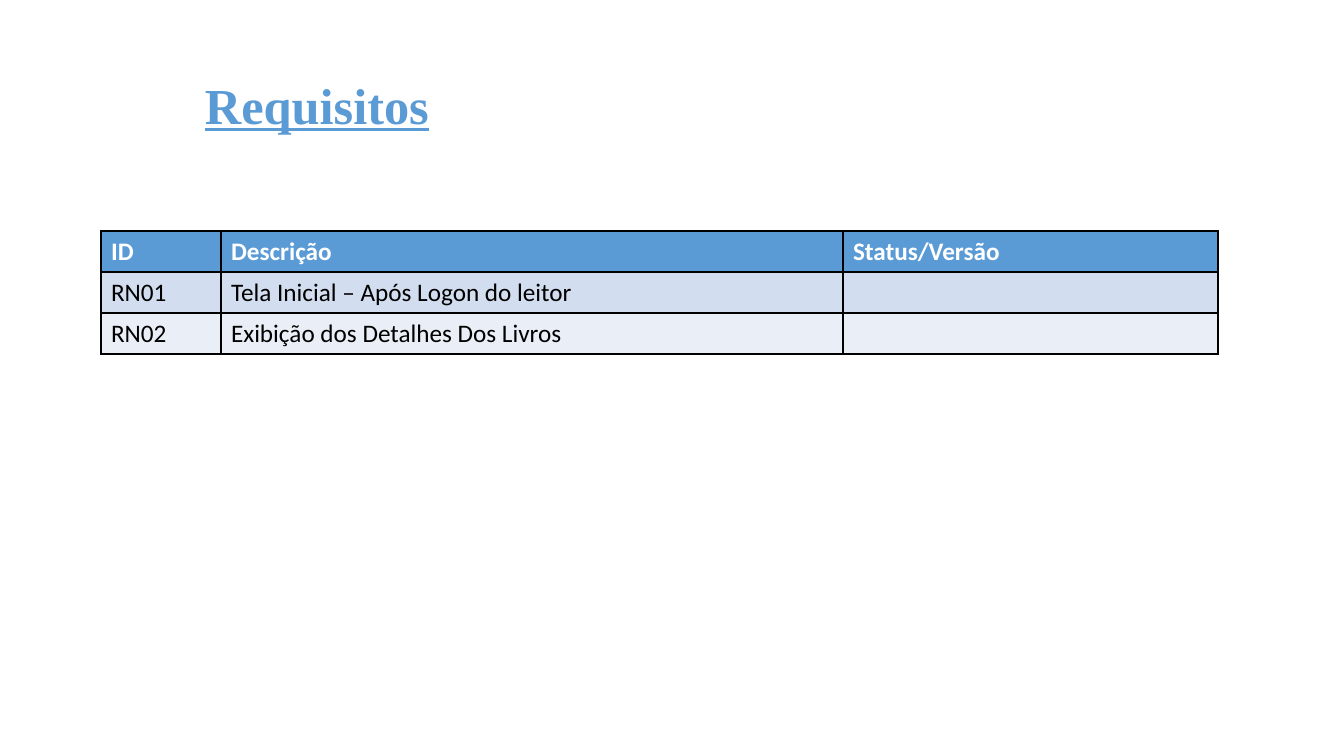
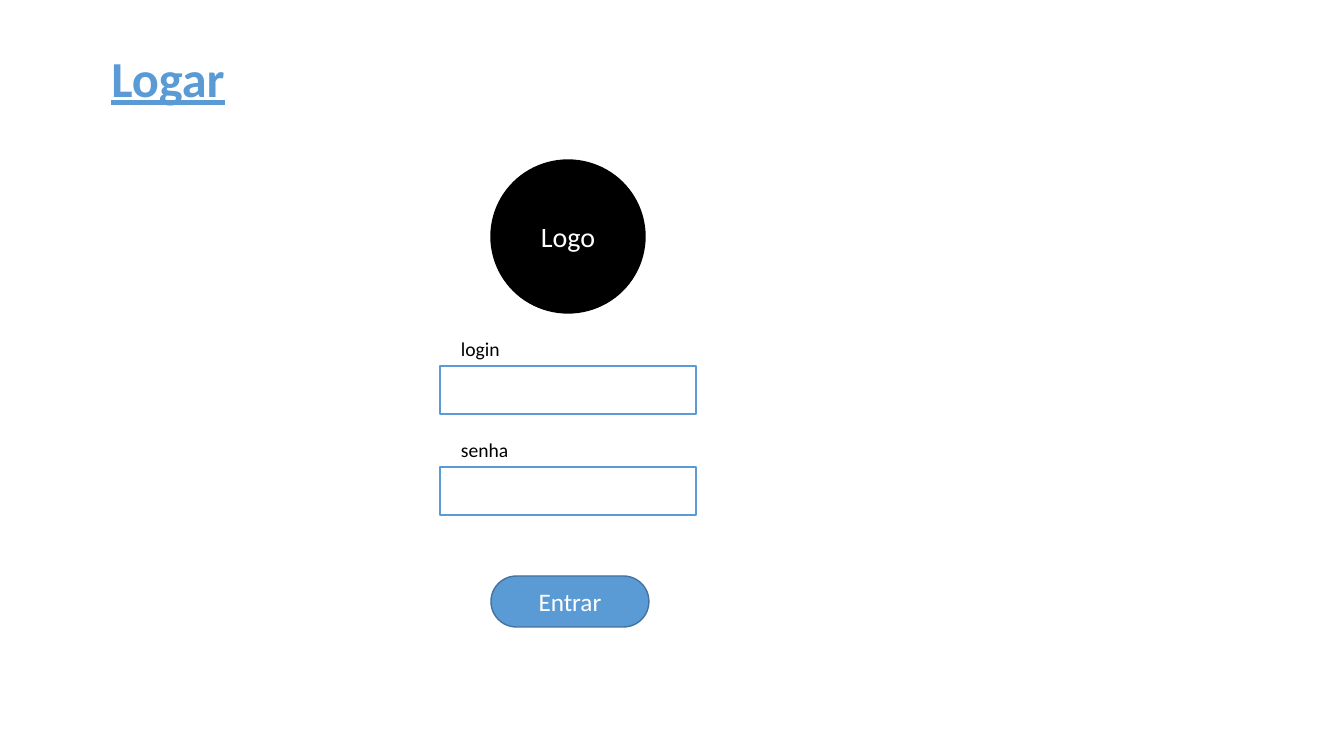
from lxml import etree
from pptx import Presentation
from pptx.dml.color import RGBColor
from pptx.enum.shapes import MSO_SHAPE
from pptx.enum.text import MSO_ANCHOR, MSO_AUTO_SIZE, PP_ALIGN
from pptx.oxml.ns import qn
from pptx.util import Pt

SCALE = 914400 / 100.8
BLUE, EDGE, BLACK, WHITE = "5B9BD5", "43739E", "000000", "FFFFFF"
BANDS = ["D2DEEF", "EAEFF7"]
SANS, SERIF = "Calibri", "Times New Roman"
OVAL, RECT = MSO_SHAPE.OVAL, MSO_SHAPE.RECTANGLE
PILL = MSO_SHAPE.FLOWCHART_TERMINATOR
CENTER = PP_ALIGN.CENTER
BOTTOM, MIDDLE = MSO_ANCHOR.BOTTOM, MSO_ANCHOR.MIDDLE
NO_FIT = MSO_AUTO_SIZE.NONE
TITLE_ONLY = 5


def px(size):
    """Turn pixels into EMU."""
    return round(size * SCALE)


def paint(color, code):
    """Give a color format a hex value."""
    color.rgb = RGBColor.from_string(code)


def write(frame, text, size, code, face=SANS, bold=False):
    """Put one styled paragraph in a frame and return it."""
    frame.text = text
    para = frame.paragraphs[0]
    font = para.font
    font.name, font.size, font.bold = face, Pt(size), bold
    paint(font.color, code)
    return para


def add_slide(deck, text, box, face):
    """Add a slide with its underlined blue title."""
    slide = deck.slides.add_slide(deck.slide_layouts[TITLE_ONLY])
    title = slide.shapes.title
    title.left, title.top, title.width, title.height = map(px, box)
    frame = title.text_frame
    para = write(frame, text, 36, BLUE, face, True)
    para.font.underline = True
    para.alignment, para.line_spacing = CENTER, 0.9
    frame.auto_size, frame.vertical_anchor = NO_FIT, BOTTOM
    return slide


def add_form(slide, kind, box, fill, edge, text="", size=18):
    """Add a filled shape with an optional white caption."""
    form = slide.shapes.add_shape(kind, *map(px, box))
    form.shadow.inherit = False
    form.fill.solid()
    paint(form.fill.fore_color, fill)
    paint(form.line.color, edge)
    form.line.width = Pt(1)
    if text:
        write(form.text_frame, text, size, WHITE).alignment = CENTER
        form.text_frame.vertical_anchor = MIDDLE


def add_field(slide, text, top):
    """Add an input box with its label above."""
    add_form(slide, RECT, (440, top, 256, 48), WHITE, BLUE)
    label = slide.shapes.add_textbox(*map(px, (451, top - 34, 80, 34)))
    label.text_frame.word_wrap = True
    write(label.text_frame, text, 14, BLACK)


def add_edges(cell):
    """Draw thin black borders round a cell."""
    props = cell._tc.get_or_add_tcPr()
    for side in "LRTB":
        line = etree.SubElement(props, qn("a:ln" + side), w=str(Pt(1)))
        fill = etree.SubElement(line, qn("a:solidFill"))
        etree.SubElement(fill, qn("a:srgbClr"), val=BLACK)


def add_grid(slide, spot, widths, height, rows):
    """Add a table with a blue header and banded rows."""
    size = sum(widths), height * len(rows)
    grid = slide.shapes.add_table(
        len(rows), len(widths), *map(px, spot + size)).table
    for col, width in zip(grid.columns, widths):
        col.width = px(width)
    for i, row in enumerate(rows):
        grid.rows[i].height = px(height)
        head = i == 0
        for j, text in enumerate(row):
            cell = grid.cell(i, j)
            add_edges(cell)
            cell.fill.solid()
            paint(cell.fill.fore_color, BLUE if head else BANDS[(i - 1) % 2])
            write(cell.text_frame, text, 18, WHITE if head else BLACK,
                  bold=head)


def add_needs(deck):
    """Build the slide of requirements."""
    slide = add_slide(deck, "Requisitos", (101, 38, 432, 102), SERIF)
    add_grid(slide, (101, 231), (120, 622, 375), 41, [
        ("ID", "Descrição", "Status/Versão"),
        ("RN01", "Tela Inicial – Após Logon do leitor", ""),
        ("RN02", "Exibição dos Detalhes Dos Livros", ""),
    ])


def add_login(deck):
    """Build the slide of the login screen."""
    slide = add_slide(deck, "Logar", (70, 44, 196, 69), SANS)
    add_form(slide, OVAL, (491, 160, 154, 153), BLACK, BLACK, "Logo", 20)
    add_field(slide, "login", 366)
    add_field(slide, "senha", 467)
    add_form(slide, PILL, (491, 576, 158, 51), BLUE, EDGE, "Entrar")


def main():
    """Build and save the deck."""
    deck = Presentation()
    deck.slide_width, deck.slide_height = px(1344), px(756)
    add_needs(deck)
    add_login(deck)
    deck.save("out.pptx")


main()
